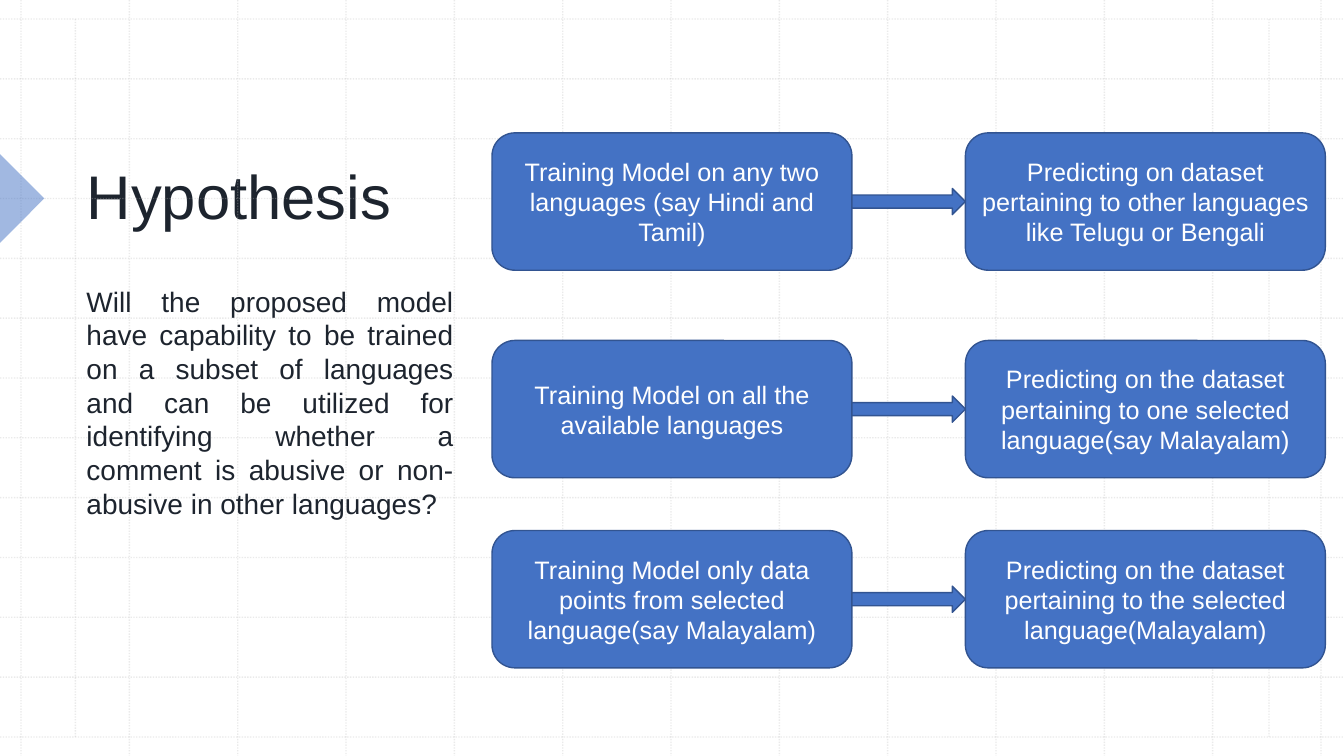
from lxml.etree import SubElement
from pptx import Presentation
from pptx.dml.color import RGBColor
from pptx.enum.dml import MSO_LINE
from pptx.enum.shapes import MSO_CONNECTOR, MSO_SHAPE
from pptx.enum.text import MSO_ANCHOR, MSO_AUTO_SIZE, PP_ALIGN
from pptx.oxml.ns import qn
from pptx.util import Cm, Pt

COLORS = {"blue": "4472C4", "edge": "325491", "ink": "1D242E",
          "grid": "BCBCBC", "white": "FFFFFF"}
WIDE, HIGH = 33.87, 19.05
BOX_W, BOX_H = 9.07, 3.46
LEFT, RIGHT = 12.4, 24.33
ARROW_H = 0.66

QUESTION = ("Will the proposed model have capability to be trained on a subset "
            "of languages and can be utilized for identifying whether a comment "
            "is abusive or non-abusive in other languages?")
STEPS = [
    (3.35, "Training Model on any two languages (say Hindi and Tamil)",
     "Predicting on dataset pertaining to other languages like Telugu or Bengali"),
    (8.58, "Training Model on all the available languages",
     "Predicting on the dataset pertaining to one selected language(say Malayalam)"),
    (13.37, "Training Model only data points from selected language(say Malayalam)",
     "Predicting on the dataset pertaining to the selected language(Malayalam)"),
]


def color(name):
    return RGBColor.from_string(COLORS[name])


def fade(part, percent):
    """Set the opacity of the solid colour found inside an XML part."""
    tone = next(part.iter(qn("a:srgbClr")))
    SubElement(tone, qn("a:alpha"), val=str(percent * 1000))


def write(shape, text, size, ink, align, anchor):
    frame = shape.text_frame
    frame.text = text
    frame.word_wrap = True
    frame.auto_size = MSO_AUTO_SIZE.NONE
    frame.vertical_anchor = anchor
    para = frame.paragraphs[0]
    para.alignment = align
    font = para.runs[0].font
    font.name = "Arial"
    font.size = Pt(size)
    font.color.rgb = color(ink)


def add_rule(slide, x1, y1, x2, y2):
    rule = slide.shapes.add_connector(
        MSO_CONNECTOR.STRAIGHT, Cm(x1), Cm(y1), Cm(x2), Cm(y2))
    rule.line.width = Pt(1)
    rule.line.color.rgb = color("grid")
    rule.line.dash_style = MSO_LINE.ROUND_DOT
    props = rule.line._get_or_add_ln()
    fade(props, 30)
    SubElement(props.getparent(), qn("a:effectLst"))


def add_grid(slide):
    top, end = 0.48, 18.57
    for i in range(13):
        x, y = 0.53 + 2.73 * i, top + (end - top) / 12 * i
        add_rule(slide, x, 0, x, HIGH)
        add_rule(slide, 0, y, WIDE, y)
    for x in (1.9, 31.98):
        add_rule(slide, x, top, x, end)


def add_block(slide, kind, x, y, w, h):
    block = slide.shapes.add_shape(kind, Cm(x), Cm(y), Cm(w), Cm(h))
    block.shadow.inherit = False
    block.fill.solid()
    block.fill.fore_color.rgb = color("blue")
    block.line.color.rgb = color("edge")
    block.line.width = Pt(1)
    return block


def add_marker(slide):
    marker = add_block(slide, MSO_SHAPE.RIGHT_TRIANGLE, -0.79, 4.21, 1.58, 1.58)
    marker.rotation = 225
    marker.line.fill.background()
    fade(marker.fill._xPr, 50)


def add_title(slide):
    title = slide.shapes.title
    title.left, title.top = Cm(1.93), Cm(0.74)
    title.width, title.height = Cm(11.23), Cm(5.23)
    write(title, "Hypothesis", 44, "ink", PP_ALIGN.LEFT, MSO_ANCHOR.BOTTOM)


def add_body(slide):
    body = slide.shapes.add_textbox(Cm(1.93), Cm(7.04), Cm(9.75), Cm(9.09))
    write(body, QUESTION, 20, "ink", PP_ALIGN.JUSTIFY, MSO_ANCHOR.TOP)
    body.text_frame.paragraphs[0].space_after = Pt(6)


def add_step(slide, y, train, predict):
    for x, text in ((LEFT, train), (RIGHT, predict)):
        box = add_block(slide, MSO_SHAPE.ROUNDED_RECTANGLE, x, y, BOX_W, BOX_H)
        write(box, text, 18, "white", PP_ALIGN.CENTER, MSO_ANCHOR.MIDDLE)
    start = LEFT + BOX_W
    add_block(slide, MSO_SHAPE.RIGHT_ARROW, start, y + (BOX_H - ARROW_H) / 2,
              RIGHT - start, ARROW_H)


def main():
    deck = Presentation()
    deck.slide_width, deck.slide_height = Cm(WIDE), Cm(HIGH)
    slide = deck.slides.add_slide(deck.slide_layouts[5])
    add_grid(slide)
    add_marker(slide)
    add_title(slide)
    add_body(slide)
    for step in STEPS:
        add_step(slide, *step)
    deck.save("out.pptx")


if __name__ == "__main__":
    main()
